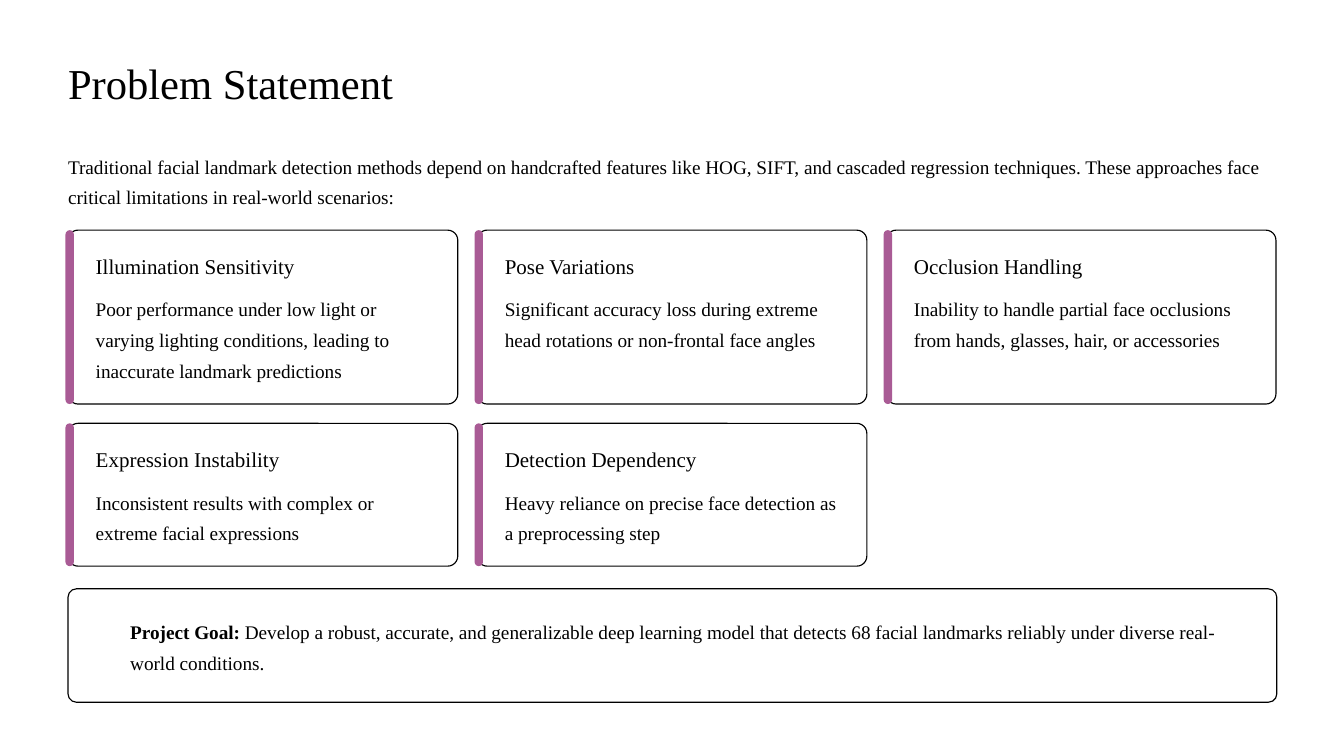
from dataclasses import dataclass

from pptx import Presentation
from pptx.dml.color import RGBColor
from pptx.enum import shapes
from pptx.util import Inches, Pt


@dataclass(frozen=True)
class Theme:
    font: str = "Times New Roman"
    ink: RGBColor = RGBColor(0, 0, 0)
    paper: RGBColor = RGBColor(255, 255, 255)
    accent: RGBColor = RGBColor(0xA9, 0x5B, 0x95)
    # Each type style is (size, line spacing) in points.
    title: tuple = (36.5, 46)
    head: tuple = (18, 23)
    body: tuple = (16.5, 26.5)
    radius: float = 0.12


THEME = Theme()
LEFT, WIDTH = 0.81, 14.39
CARD_W, STEP = 4.64, 4.87

# Each row: top, height, cards (heading, body).
ROWS = [
    (2.74, 2.07, [
        ("Illumination Sensitivity",
         "Poor performance under low light or varying lighting conditions, "
         "leading to inaccurate landmark predictions"),
        ("Pose Variations",
         "Significant accuracy loss during extreme head rotations or "
         "non-frontal face angles"),
        ("Occlusion Handling",
         "Inability to handle partial face occlusions from hands, glasses, "
         "hair, or accessories"),
    ]),
    (5.04, 1.7, [
        ("Expression Instability",
         "Inconsistent results with complex or extreme facial expressions"),
        ("Detection Dependency",
         "Heavy reliance on precise face detection as a preprocessing step"),
    ]),
]
INTRO = ("Traditional facial landmark detection methods depend on handcrafted "
         "features like HOG, SIFT, and cascaded regression techniques. These "
         "approaches face critical limitations in real-world scenarios:")
GOAL = (" Develop a robust, accurate, and generalizable deep learning model "
        "that detects 68 facial landmarks reliably under diverse real-world "
        "conditions.")


def add_text(slide, x, y, w, h, words, style, wrap=True):
    box = slide.shapes.add_textbox(Inches(x), Inches(y), Inches(w), Inches(h))
    frame = box.text_frame
    frame.margin_left = frame.margin_right = 0
    frame.margin_top = frame.margin_bottom = 0
    frame.word_wrap = wrap
    frame.text = words
    para = frame.paragraphs[0]
    size, space = style
    para.line_spacing = Pt(space)
    para.font.name = THEME.font
    para.font.size = Pt(size)
    para.font.color.rgb = THEME.ink
    return para


def add_round(slide, x, y, w, h, radius, fill, line=None):
    """Add a rounded box whose corner radius is given in inches."""
    box = slide.shapes.add_shape(
        shapes.MSO_SHAPE.ROUNDED_RECTANGLE,
        Inches(x), Inches(y), Inches(w), Inches(h))
    box.adjustments[0] = radius / min(w, h)
    box.shadow.inherit = False
    box.fill.solid()
    box.fill.fore_color.rgb = fill
    if line is None:
        box.line.fill.background()
    else:
        box.line.color.rgb = line
        box.line.width = Pt(1)


def add_panel(slide, x, y, w, h, radius):
    add_round(slide, x, y, w, h, radius, THEME.paper, THEME.ink)


def add_card(slide, x, y, h, head, body):
    add_panel(slide, x, y, CARD_W, h, THEME.radius)
    add_round(slide, x - 0.03, y, 0.1, h, 0.05, THEME.accent)
    add_text(slide, x + 0.33, y + 0.26, 2.9, 0.32, head, THEME.head, False)
    add_text(slide, x + 0.33, y + 0.71, 4.06, h - 0.97, body, THEME.body)


def add_goal(slide):
    add_panel(slide, LEFT, 7.01, WIDTH, 1.35, 0.1)
    para = add_text(slide, 1.55, 7.29, 13.41, 0.74, "Project Goal:", THEME.body)
    para.runs[0].font.bold = True
    para.add_run().text = GOAL


def main():
    deck = Presentation()
    deck.slide_width, deck.slide_height = Inches(16), Inches(9)
    slide = deck.slides.add_slide(deck.slide_layouts[6])
    add_text(slide, LEFT, 0.65, 5.11, 0.64, "Problem Statement",
             THEME.title, False)
    add_text(slide, LEFT, 1.75, WIDTH, 0.74, INTRO, THEME.body)
    for top, height, cards in ROWS:
        for col, (head, body) in enumerate(cards):
            add_card(slide, LEFT + col * STEP, top, height, head, body)
    add_goal(slide)
    deck.save("out.pptx")


if __name__ == "__main__":
    main()
